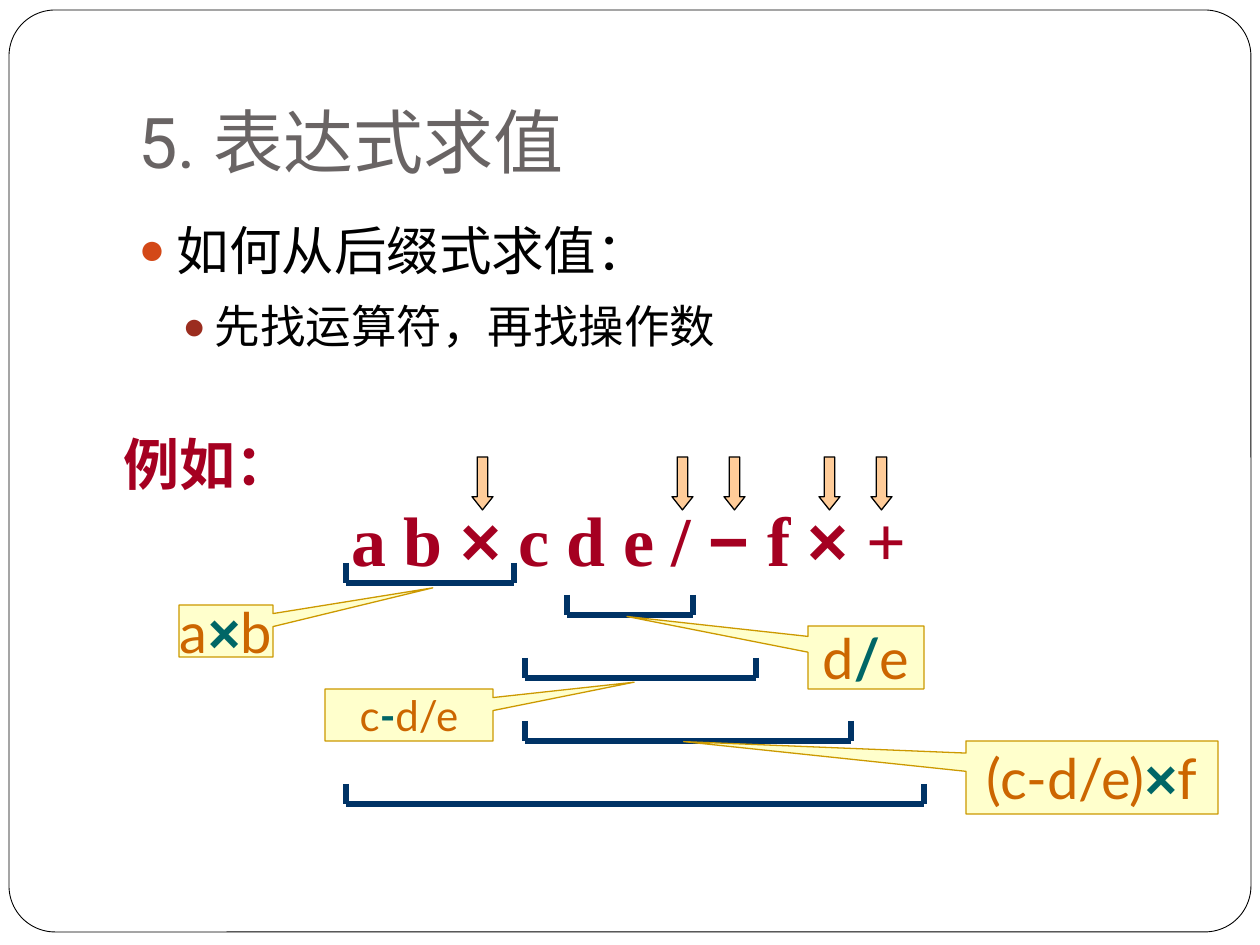
"""Build the slide on evaluating a postfix expression."""
import pptx
import pptx.dml.color
import pptx.enum.shapes
import pptx.enum.text
import pptx.util
import lxml.etree

PX = 914400 // 126
KIND = pptx.enum.shapes.MSO_SHAPE
ALIGN = pptx.enum.text.PP_ALIGN
ANCHOR = pptx.enum.text.MSO_ANCHOR
SERIF, SANS, LATO = "Times New Roman", "Arial", "Lato"
RED, NAVY, TEAL, ORANGE = "A50021", "003366", "006666", "CC6600"

TITLE = "5. 表达式求值"
POINTS = [
    ("如何从后缀式求值：", 30, 0, 38, "D34817"),
    ("先找运算符，再找操作数", 26, 32, 44, "9B2D1F"),
]
LABEL = "例如："
TERMS = [("a b ", SERIF), ("×", SANS), (" c d e / ", SERIF), ("−", SANS),
         (" f ", SERIF), ("×", SANS), (" +", SERIF)]
SPANS = [(346, 514, 583), (567, 693, 615), (525, 756, 678),
         (525, 851, 741), (346, 924, 804)]
CALLS = [
    ((179, 605, 94, 52), (2.2, -0.83), 32, ("a", "×", "b"), SANS),
    ((808, 626, 116, 63), (-2.06, -0.65), 32, ("d", "/", "e"), LATO),
    ((325, 689, 168, 52), (1.34, -0.63), 24, ("c", "-", "d/e"), LATO),
    ((966, 741, 252, 73), (-1.62, -0.49), 32, ("(c-d/e)", "×", "f"), SANS),
]
ARROWS = [472, 672, 724, 819, 871]


def hue(code):
    return pptx.dml.color.RGBColor.from_string(code)


def place(shape, left, top, width, height):
    shape.left, shape.top = left * PX, top * PX
    shape.width, shape.height = width * PX, height * PX


def write(para, text, size=32, font=SERIF, color="000000", bold=False):
    run = para.add_run()
    run.text = text
    run.font.size = pptx.util.Pt(size)
    run.font.name = font
    run.font.bold = bold
    run.font.color.rgb = hue(color)


def indent(para, left, hang=0):
    props = para._p.get_or_add_pPr()
    props.set("marL", str(left * PX))
    props.set("indent", str(-hang * PX))
    return props


def bullet(para, left, hang, color):
    props = indent(para, left, hang)
    tint = add_tag(props, "buClr")
    add_tag(tint, "srgbClr", val=color)
    add_tag(props, "buSzPct", val="85000")
    add_tag(props, "buChar", char="●")


def add_tag(parent, name, **attrs):
    space = parent.nsmap["a"]
    return lxml.etree.SubElement(parent, "{%s}%s" % (space, name), attrs)


def draw(slide, kind, box, fill, line, width, adjust):
    shape = slide.shapes.add_shape(kind, *[n * PX for n in box])
    shape.shadow.inherit = False
    shape.fill.solid()
    shape.fill.fore_color.rgb = hue(fill)
    shape.line.color.rgb = hue(line)
    shape.line.width = pptx.util.Pt(width)
    for index, value in enumerate(adjust):
        shape.adjustments[index] = value
    return shape


def stroke(slide, *ends):
    line = slide.shapes.add_connector(
        pptx.enum.shapes.MSO_CONNECTOR.STRAIGHT, *[n * PX for n in ends])
    line.line.color.rgb = hue(NAVY)
    line.line.width = pptx.util.Pt(3)
    add_tag(line._element.spPr, "effectLst")


def add_head(slide):
    title = slide.shapes.title
    place(title, 126, 38, 1071, 157)
    frame = title.text_frame
    frame.auto_size = pptx.enum.text.MSO_AUTO_SIZE.NONE
    frame.vertical_anchor = ANCHOR.BOTTOM
    frame.margin_bottom = pptx.util.Inches(0.1)
    para = frame.paragraphs[0]
    para.alignment = ALIGN.LEFT
    write(para, TITLE, size=40, font="Roboto", color="696464")


def add_points(slide):
    body = slide.placeholders[1]
    place(body, 126, 199, 1071, 630)
    frame = body.text_frame
    frame.auto_size = pptx.enum.text.MSO_AUTO_SIZE.NONE
    for level, (text, size, hang, left, color) in enumerate(POINTS):
        para = frame.add_paragraph() if level else frame.paragraphs[0]
        para.level = level
        bullet(para, (76 if level else left), (hang or left), color)
        para.line_spacing = 1.2
        para.space_before = pptx.util.Pt(3.7 * level)
        write(para, text, size=size)


def add_terms(slide):
    box = slide.shapes.add_textbox(0, 0, 0, 0)
    place(box, 111, 423, 819, 164)
    frame = box.text_frame
    frame.word_wrap = True
    write(frame.paragraphs[0], LABEL, color=RED, bold=True)
    para = frame.add_paragraph()
    indent(para, 228)
    for text, font in TERMS:
        write(para, text, size=40, font=font, color=RED, bold=True)


def add_call(slide, box, adjust, size, parts, sign):
    shape = draw(slide, KIND.RECTANGULAR_CALLOUT, box, "FFFFCC", "CC9900",
                 0.75, adjust)
    frame = shape.text_frame
    frame.word_wrap = False
    frame.vertical_anchor = ANCHOR.MIDDLE
    para = frame.paragraphs[0]
    para.alignment = ALIGN.CENTER
    left, mid, right = parts
    write(para, left, size=size, font=LATO, color=ORANGE)
    write(para, mid, size=size, font=sign, color=TEAL, bold=True)
    write(para, right, size=size, font=LATO, color=ORANGE)


def main():
    deck = pptx.Presentation()
    deck.slide_width, deck.slide_height = 1260 * PX, 945 * PX
    slide = deck.slides.add_slide(deck.slide_layouts[1])
    frame = draw(slide, KIND.ROUNDED_RECTANGLE, (9, 10, 1242, 922),
                 "FFFFFF", "000000", 0.5, [0.05])
    slide.shapes._spTree.insert(2, frame._element)
    add_head(slide)
    add_points(slide)
    add_terms(slide)
    for left, right, base in SPANS:
        stroke(slide, left, base, right, base)
        for side in (left, right):
            stroke(slide, side, base - 20, side, base)
    for call in CALLS:
        add_call(slide, *call)
    for left in ARROWS:
        draw(slide, KIND.DOWN_ARROW, (left, 457, 21, 53), "FFCC99",
             "000000", 0.75, (0.5, 0.63))
    deck.save("out.pptx")


if __name__ == "__main__":
    main()
